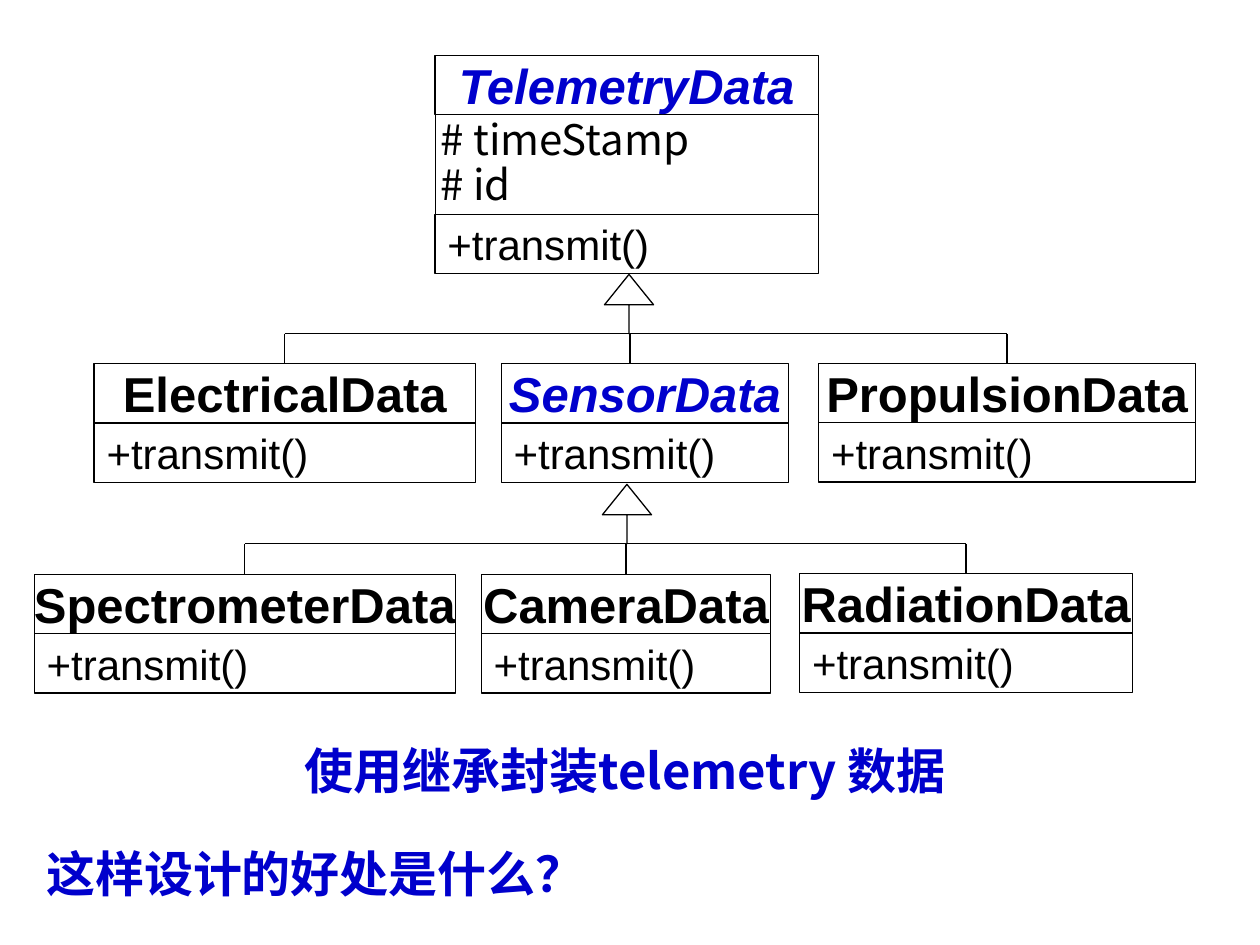
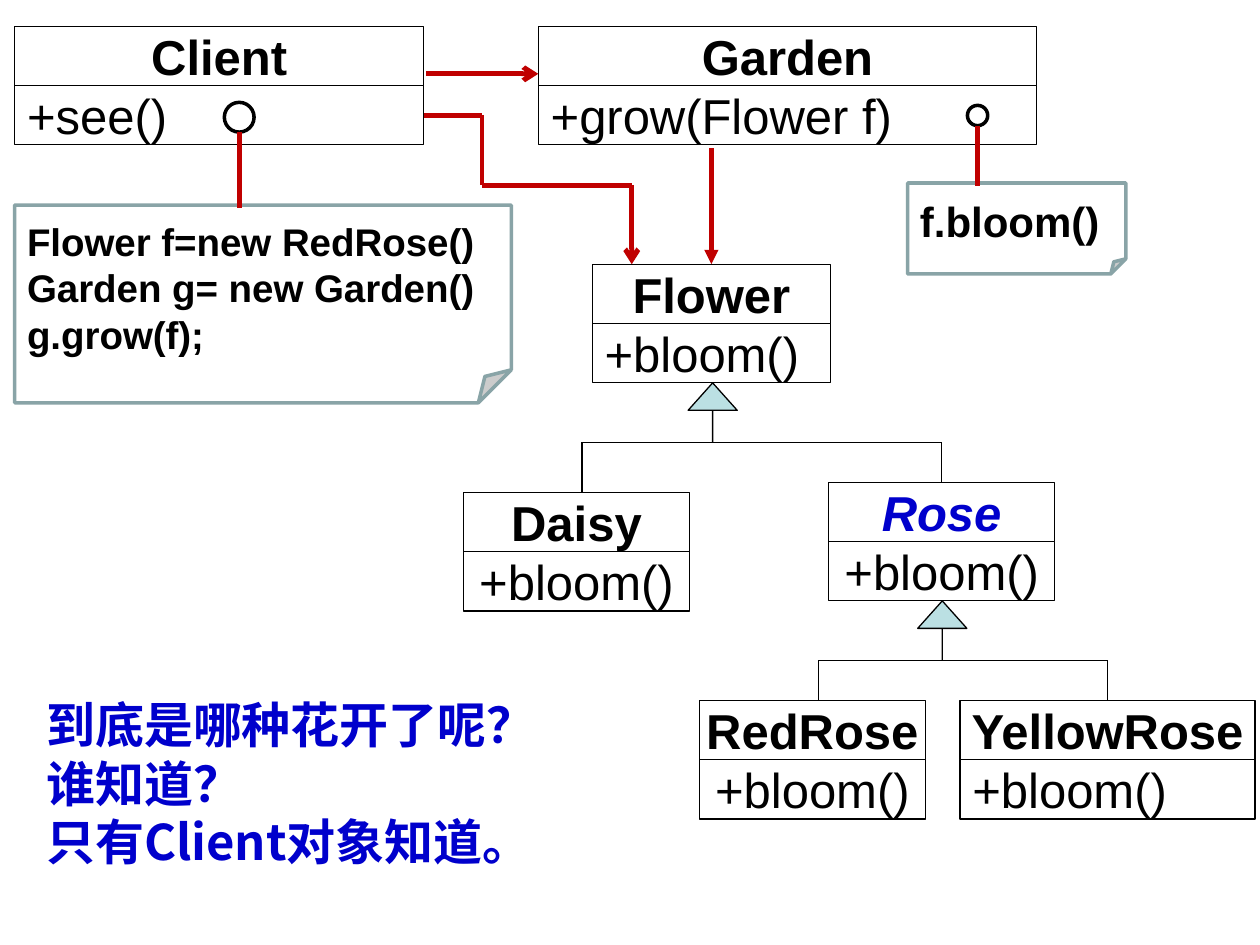
"""Build two slides of class diagrams: telemetry data and garden flowers."""
from itertools import pairwise

from lxml import etree
from pptx import Presentation
from pptx.dml.color import RGBColor
from pptx.enum.shapes import MSO_CONNECTOR, MSO_SHAPE
from pptx.enum.text import MSO_ANCHOR, PP_ALIGN
from pptx.oxml.ns import qn
from pptx.util import Pt

RECTANGLE, ELLIPSE = MSO_SHAPE.RECTANGLE, MSO_SHAPE.OVAL
NOTE, UP_ARROW = MSO_SHAPE.FOLDED_CORNER, MSO_SHAPE.UP_ARROW
STRAIGHT = MSO_CONNECTOR.STRAIGHT
TOP, MIDDLE = MSO_ANCHOR.TOP, MSO_ANCHOR.MIDDLE
LEFT, CENTER = PP_ALIGN.LEFT, PP_ALIGN.CENTER
TOP_SIDE, RIGHT_SIDE = 0, 3

COLORS = {"black": "000000", "white": "FFFFFF", "blue": "0000CC",
          "red": "C00000", "gray": "89A4A7", "teal": "BBE0E3"}
LATIN, CHINESE = "Arial", "Noto Sans CJK SC"
ROW = 33.9
ARROW_WIDTH = 28.1
JOIN_TOLERANCE = 2

FONTS = {
    "class": {"name": LATIN, "size": Pt(28), "bold": True},
    "abstract": {"name": LATIN, "size": Pt(28), "bold": True, "italic": True},
    "method": {"name": LATIN, "size": Pt(28)},
    "small method": {"name": LATIN, "size": Pt(24)},
    "attribute": {"name": CHINESE, "size": Pt(24)},
    "remark": {"name": CHINESE, "size": Pt(28), "bold": True},
    "long note": {"name": LATIN, "size": Pt(22), "bold": True},
    "short note": {"name": LATIN, "size": Pt(24), "bold": True},
}
BLUE_STYLES = ("abstract", "remark")


def add_box(slide, kind, place, text="", style="class", align=LEFT, fill="white",
            line="black", weight=0.75, spacing=1.0, inset=(7.2, 3.6), wrap=False):
    """Add a shape, or a plain text box when kind is None."""
    place = [Pt(length) for length in place]
    if kind is None:
        shape = slide.shapes.add_textbox(*place)
    else:
        shape = slide.shapes.add_shape(kind, *place)
        shape.shadow.inherit = False
        shape.fill.solid()
        shape.fill.fore_color.rgb = RGBColor.from_string(COLORS[fill])
        shape.line.color.rgb = RGBColor.from_string(COLORS[line])
        shape.line.width = Pt(weight)
    if not text:
        return shape
    across, down = Pt(inset[0]), Pt(inset[1])
    frame = shape.text_frame
    frame_format = {"margin_left": across, "margin_right": across,
                    "margin_top": down, "margin_bottom": down, "word_wrap": wrap,
                    "vertical_anchor": TOP if kind is None else MIDDLE}
    for name, value in frame_format.items():
        setattr(frame, name, value)
    frame.text = text
    color = COLORS["blue" if style in BLUE_STYLES else "black"]
    for paragraph in frame.paragraphs:
        paragraph.alignment = align
        paragraph.line_spacing = spacing
        font = paragraph.runs[0].font
        for name, value in FONTS[style].items():
            setattr(font, name, value)
        font.color.rgb = RGBColor.from_string(color)
        east_asian = etree.SubElement(paragraph.runs[0]._r.rPr, qn("a:ea"))
        east_asian.set("typeface", CHINESE)
    return shape


def add_line(slide, start, end, color="black", weight=0.75, head=None):
    """Add a straight connector, with an arrowhead at its end if one is named."""
    line = slide.shapes.add_connector(STRAIGHT, *(Pt(length) for length in (*start, *end)))
    line.line.color.rgb = RGBColor.from_string(COLORS[color])
    line.line.width = Pt(weight)
    if head:
        etree.SubElement(line.line._get_or_add_ln(), qn("a:tailEnd")).set("type", head)
    etree.SubElement(line._element.spPr, qn("a:effectLst"))
    return line


presentation = Presentation()
presentation.slide_width, presentation.slide_height = Pt(720), Pt(540)
blank = presentation.slide_layouts[6]
telemetry = presentation.slides.add_slide(blank)
garden = presentation.slides.add_slide(blank)

ATTRIBUTES_HEIGHT = 56.9
add_box(telemetry, RECTANGLE, (248.9, 31.7 + ROW, 219, ATTRIBUTES_HEIGHT),
        "# timeStamp\n# id", "attribute", spacing=0.9, inset=(2.9, 2.9))

classes = [
    (telemetry, "TelemetryData", 248.6, 31.7, 219, "abstract", "+transmit()", LEFT),
    (telemetry, "ElectricalData", 53.8, 207.8, 217.8, "class", "+transmit()", LEFT),
    (telemetry, "SensorData", 286.4, 207.8, 164.2, "abstract", "+transmit()", LEFT),
    (telemetry, "PropulsionData", 467.8, 207.6, 215.4, "class", "+transmit()", LEFT),
    (telemetry, "SpectrometerData", 19.6, 328.2, 240.6, "class", "+transmit()", LEFT),
    (telemetry, "CameraData", 275, 328.2, 165.4, "class", "+transmit()", LEFT),
    (telemetry, "RadiationData", 457, 327.8, 190.2, "class", "+transmit()", LEFT),
    (garden, "Client", 8.4, 15, 233.8, "class", "+see()", LEFT),
    (garden, "Garden", 307.6, 15, 284.8, "class", "+grow(Flower f)", LEFT),
    (garden, "Flower", 338.4, 151, 136.2, "class", "+bloom()", LEFT),
    (garden, "Daisy", 264.8, 281.4, 129.2, "class", "+bloom()", CENTER),
    (garden, "Rose", 473.5, 275.6, 129.2, "abstract", "+bloom()", CENTER),
    (garden, "RedRose", 399.6, 400.2, 129.2, "class", "+bloom()", CENTER),
    (garden, "YellowRose", 548.6, 400.2, 168.6, "class", "+bloom()", LEFT),
]
headers, methods = {}, {}
for slide, name, left, top, width, style, method, align in classes:
    headers[name] = add_box(slide, RECTANGLE, (left, top, width, ROW), name, style, CENTER)
    method_top = top + ROW + (ATTRIBUTES_HEIGHT if name == "TelemetryData" else 0)
    method_style = "small method" if slide is telemetry else "method"
    methods[name] = add_box(slide, RECTANGLE, (left, method_top, width, ROW),
                            method, method_style, align)

hierarchies = [
    (telemetry, 345.4, 156.8, "white", 0.62,
     {"ElectricalData": 161.4, "SensorData": 360, "PropulsionData": 575.4}),
    (telemetry, 344.2, 276.8, "white", 0.62,
     {"SpectrometerData": 138.8, "CameraData": 358.6, "RadiationData": 553.6}),
    (garden, 393.2, 218.8, "teal", 0.56, {"Daisy": 332.6, "Rose": 538}),
    (garden, 524.4, 343.4, "teal", 0.56, {"RedRose": 467.8, "YellowRose": 632.4}),
]
for slide, arrow_left, arrow_top, fill, head_length, children in hierarchies:
    bar = arrow_top + ROW
    drops = []
    for name, x in children.items():
        child = headers[name]
        center = child.left.pt + child.width.pt / 2
        joined = abs(x - center) < JOIN_TOLERANCE
        x = center if joined else x
        drop = add_line(slide, (x, bar), (x, child.top.pt))
        if joined:
            drop.end_connect(child, TOP_SIDE)
        drops.append(x)
    add_line(slide, (drops[0], bar), (drops[-1], bar))
    arrow = add_box(slide, UP_ARROW, (arrow_left, arrow_top, ARROW_WIDTH, ROW), fill=fill)
    arrow.adjustments[0], arrow.adjustments[1] = 0, head_length

notes = [
    ((8.4, 117.2, 283.8, 113),
     "Flower f=new RedRose()\nGarden g= new Garden()\ng.grow(f);", "long note", 136.7, 67, 17),
    ((518.6, 104.6, 124.8, 52), "f.bloom()", "short note", 558.6, 66, 11.6),
]
for place, text, style, center, middle, diameter in notes:
    add_box(garden, NOTE, place, text, style, line="gray", weight=2, wrap=True)
    radius = diameter / 2
    add_box(garden, ELLIPSE, (center - radius, middle - radius, diameter, diameter), weight=2)
    add_line(garden, (center, middle + radius), (center, place[1] + 1.5), "red", 2.75)

add_line(garden, (243.6, 42.2), (307.6, 42.2), "red", 2.75, "arrow")
flower_top = headers["Flower"].top.pt
flower_center = headers["Flower"].left.pt + headers["Flower"].width.pt / 2
grow_arrow = add_line(garden, (flower_center, 84.8), (flower_center, flower_top),
                      "red", 2.75, "triangle")
grow_arrow.end_connect(headers["Flower"], TOP_SIDE)

client_middle = methods["Client"].top.pt + ROW / 2
client_route = [(242.2, client_middle), (275.4, client_middle), (275.4, 105.8),
                (361, 105.8), (361, flower_top)]
for start, end in pairwise(client_route):
    head = "arrow" if end == client_route[-1] else None
    segment = add_line(garden, start, end, "red", 2.75, head)
    if start == client_route[0]:
        segment.begin_connect(methods["Client"], RIGHT_SIDE)

remarks = [
    (telemetry, (76.4, 423.4, 561.6, 37.4), "使用继承封装telemetry 数据", CENTER, 0.9),
    (telemetry, (19.4, 478.2, 352.8, 41), "这样设计的好处是什么？", LEFT, 1.0),
    (garden, (19.4, 393.2, 296, 108), "到底是哪种花开了呢？\n谁知道？\n只有Client对象知道。", LEFT, 1.0),
]
for slide, place, text, align, spacing in remarks:
    add_box(slide, None, place, text, "remark", align, spacing=spacing, wrap=True)

presentation.save("out.pptx")
